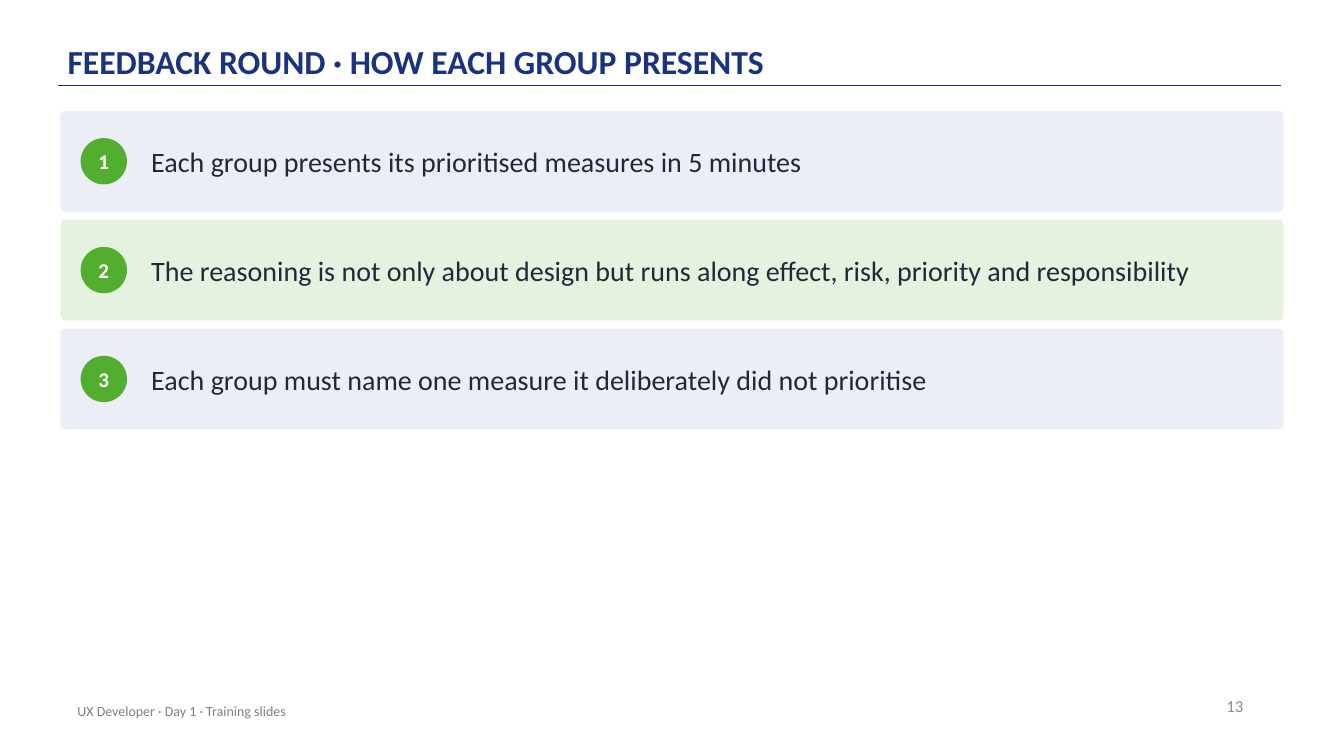
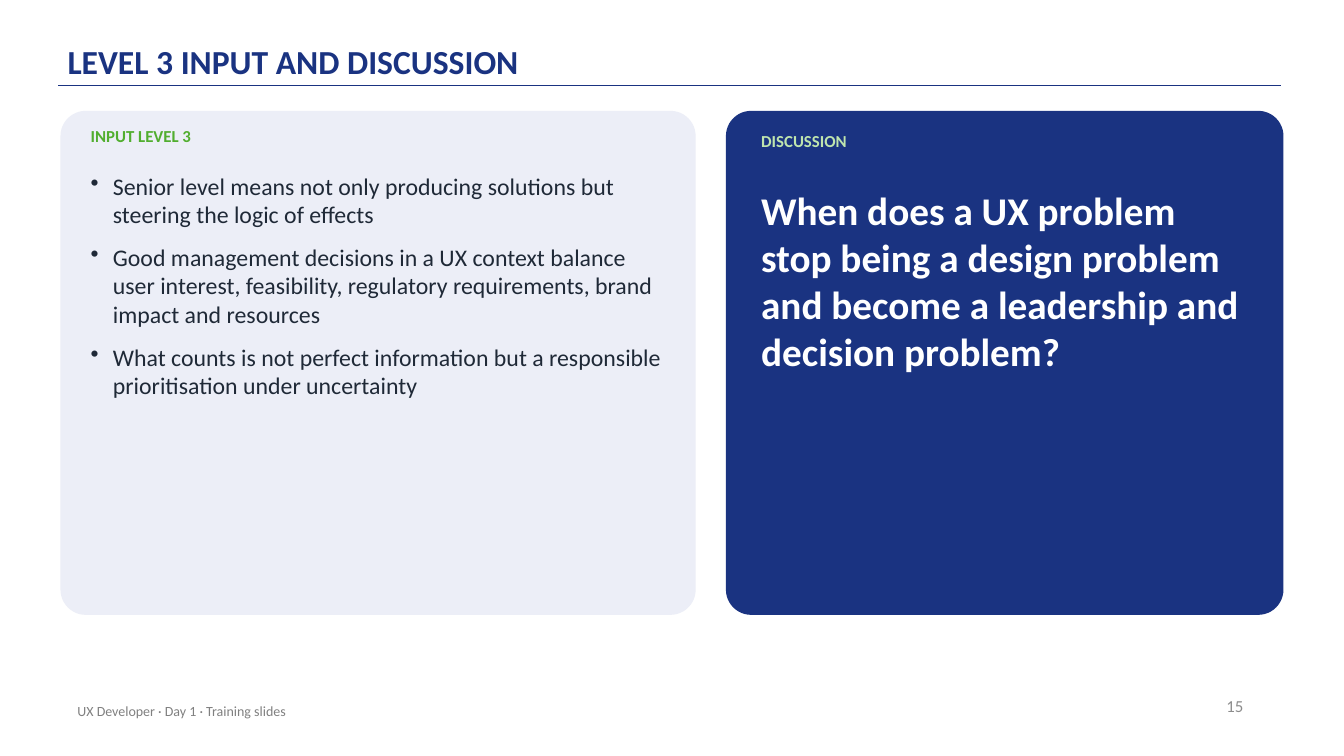
from lxml.etree import SubElement
from pptx import Presentation
from pptx.dml.color import RGBColor
from pptx.enum.shapes import MSO_CONNECTOR, MSO_SHAPE
from pptx.enum.text import MSO_ANCHOR, MSO_AUTO_SIZE, PP_ALIGN
from pptx.oxml.ns import qn
from pptx.util import Inches, Pt

FONT = "Calibri"
NAVY, GREEN, INK, WHITE = "1A3381", "51AE2F", "1F2937", "FFFFFF"
PALE_BLUE, PALE_GREEN, LIGHT_GREEN = "ECEEF7", "E5F2DF", "BFE5AE"
NUMBER_GREY, FOOTER_GREY = "8C8C8C", "808080"

FOOTER = "UX Developer · Day 1 · Training slides"
LEFT, TOP, WIDTH = 0.6, 1.1, 12.13

STEPS_TITLE = "FEEDBACK ROUND · HOW EACH GROUP PRESENTS"
STEPS = [
    "Each group presents its prioritised measures in 5 minutes",
    "The reasoning is not only about design but runs along effect, risk, priority and responsibility",
    "Each group must name one measure it deliberately did not prioritise",
]
ROW_HEIGHT, ROW_GAP, BADGE = 1, 0.08, 0.46

INPUT_TITLE = "LEVEL 3 INPUT AND DISCUSSION"
INPUT_LABEL = "INPUT LEVEL 3"
INPUT_POINTS = [
    "Senior level means not only producing solutions but steering the logic of effects",
    "Good management decisions in a UX context balance user interest, feasibility, "
    "regulatory requirements, brand impact and resources",
    "What counts is not perfect information but a responsible prioritisation under uncertainty",
]
DISCUSSION_LABEL = "DISCUSSION"
QUESTION = ("When does a UX problem stop being a design problem and become "
            "a leadership and decision problem?")
PANEL_HEIGHT, INPUT_WIDTH, PANEL_GAP = 5, 6.3, 0.3


def rgb(value):
    return RGBColor.from_string(value)


def place(shape, left, top, width, height):
    shape.left, shape.top = Inches(left), Inches(top)
    shape.width, shape.height = Inches(width), Inches(height)


def set_margins(frame, side, vertical):
    frame.margin_left = frame.margin_right = Inches(side)
    frame.margin_top = frame.margin_bottom = Inches(vertical)


def add_bullet(para):
    properties = para._p.get_or_add_pPr()
    properties.set("marL", str(Inches(0.22)))
    properties.set("indent", str(-Inches(0.22)))
    SubElement(properties, qn("a:buChar")).set("char", "•")


def write(frame, lines, size, color, bold=False, align=PP_ALIGN.LEFT,
          anchor=MSO_ANCHOR.TOP, after=0, bullets=False):
    """Fill a text frame with one paragraph per line, all in one style."""
    frame.word_wrap = True
    frame.vertical_anchor = anchor
    for index, line in enumerate(lines):
        para = frame.add_paragraph() if index else frame.paragraphs[0]
        para.text = line
        para.alignment = align
        if bullets:
            add_bullet(para)
        para.space_after = Pt(after)
        for span in para.runs:
            span.font.name, span.font.size = FONT, Pt(size)
            span.font.bold, span.font.color.rgb = bold, rgb(color)


def add_text(slide, bounds, lines, size, color, margins=(0, 0), **style):
    box = slide.shapes.add_textbox(*map(Inches, bounds))
    set_margins(box.text_frame, *margins)
    write(box.text_frame, lines, size, color, **style)


def add_filled(slide, kind, bounds, fill):
    shape = slide.shapes.add_shape(kind, *map(Inches, bounds))
    shape.shadow.inherit = False
    shape.fill.solid()
    shape.fill.fore_color.rgb = rgb(fill)
    shape.line.fill.background()
    return shape


def add_panel(slide, bounds, fill):
    panel = add_filled(slide, MSO_SHAPE.ROUNDED_RECTANGLE, bounds, fill)
    panel.adjustments[0] = 0.05


def add_slide(deck, title, number):
    """Add a slide with the shared title, rule, page number and footer."""
    slide = deck.slides.add_slide(deck.slide_layouts[5])
    heading = slide.shapes.title
    place(heading, 0.67, 0.12, 11, 0.72)
    set_margins(heading.text_frame, 0, 0.03)
    write(heading.text_frame, [title], 24, NAVY, bold=True, anchor=MSO_ANCHOR.BOTTOM)
    heading.text_frame.auto_size = MSO_AUTO_SIZE.NONE
    heading.text_frame.paragraphs[0].line_spacing = 0.9

    rule = slide.shapes.add_connector(
        MSO_CONNECTOR.STRAIGHT, Inches(0.58), Inches(0.85), Inches(12.71), Inches(0.85))
    rule.line.color.rgb, rule.line.width = rgb(NAVY), Pt(1)
    SubElement(rule._element.spPr, qn("a:effectLst"))

    add_text(slide, (9.43, 6.8, 3, 0.4), [str(number)], 12, NUMBER_GREY,
             margins=(0.1, 0.05), align=PP_ALIGN.RIGHT, anchor=MSO_ANCHOR.MIDDLE)
    add_text(slide, (0.67, 6.85, 6.7, 0.4), [FOOTER], 10, FOOTER_GREY,
             margins=(0.1, 0.05), anchor=MSO_ANCHOR.MIDDLE)
    return slide


def build_steps(deck):
    slide = add_slide(deck, STEPS_TITLE, 13)
    for index, step in enumerate(STEPS):
        top = TOP + index * (ROW_HEIGHT + ROW_GAP)
        add_panel(slide, (LEFT, top, WIDTH, ROW_HEIGHT), (PALE_BLUE, PALE_GREEN)[index % 2])
        badge_top = top + (ROW_HEIGHT - BADGE) / 2
        badge = add_filled(slide, MSO_SHAPE.OVAL, (LEFT + 0.2, badge_top, BADGE, BADGE), GREEN)
        set_margins(badge.text_frame, 0, 0)
        write(badge.text_frame, [str(index + 1)], 15, WHITE, bold=True,
              align=PP_ALIGN.CENTER, anchor=MSO_ANCHOR.MIDDLE)
        add_text(slide, (LEFT + 0.9, top, WIDTH - 1.1, ROW_HEIGHT), [step], 20, INK,
                 anchor=MSO_ANCHOR.MIDDLE)


def build_discussion(deck):
    slide = add_slide(deck, INPUT_TITLE, 15)
    add_panel(slide, (LEFT, TOP, INPUT_WIDTH, PANEL_HEIGHT), PALE_BLUE)
    text_left, text_width = LEFT + 0.3, INPUT_WIDTH - 0.6
    add_text(slide, (text_left, TOP + 0.15, text_width, 0.35), [INPUT_LABEL], 12, GREEN,
             bold=True, after=6)
    add_text(slide, (text_left, TOP + 0.6, text_width, 4.2), INPUT_POINTS, 17, INK,
             after=10, bullets=True)

    panel_left = LEFT + INPUT_WIDTH + PANEL_GAP
    panel_width = WIDTH - INPUT_WIDTH - PANEL_GAP
    add_panel(slide, (panel_left, TOP, panel_width, PANEL_HEIGHT), NAVY)
    text_left, text_width = panel_left + 0.35, panel_width - 0.7
    add_text(slide, (text_left, TOP + 0.2, text_width, 0.35), [DISCUSSION_LABEL], 12,
             LIGHT_GREEN, bold=True, after=6)
    add_text(slide, (text_left, TOP + 0.75, text_width, 4), [QUESTION], 28, WHITE,
             bold=True, after=6)


def main():
    deck = Presentation()
    deck.slide_width, deck.slide_height = Inches(13.33), Inches(7.5)
    build_steps(deck)
    build_discussion(deck)
    deck.save("out.pptx")


if __name__ == "__main__":
    main()
